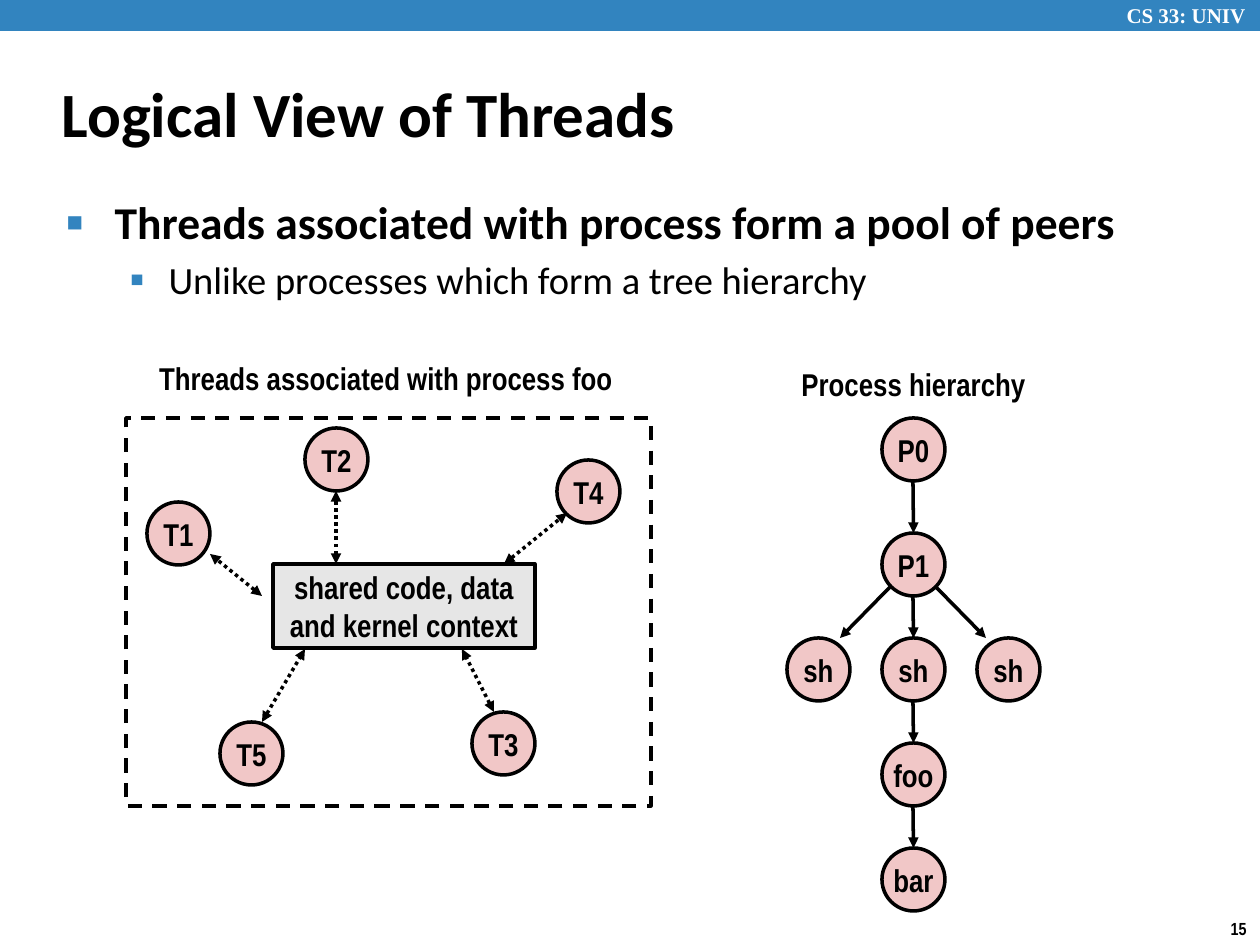
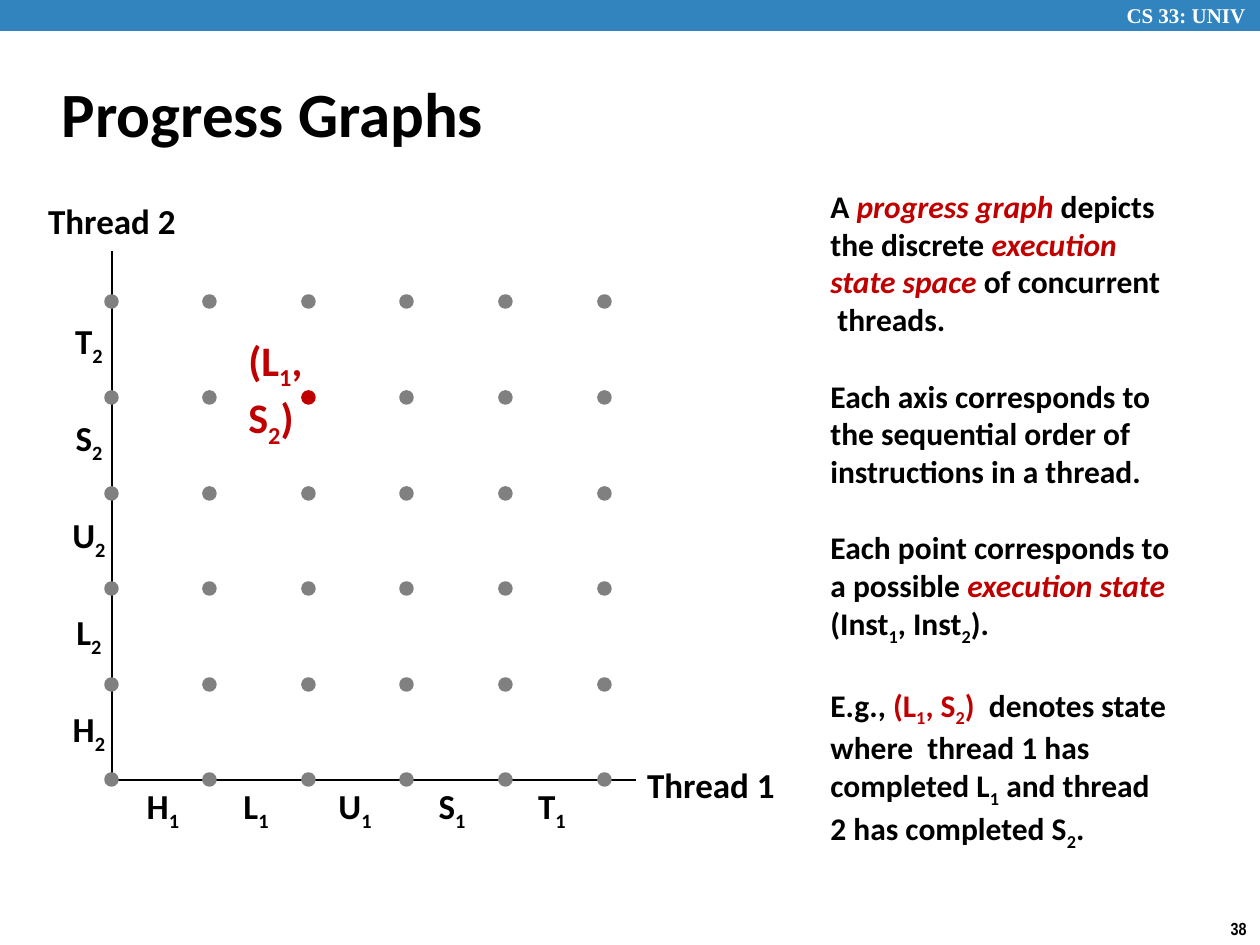
from dataclasses import dataclass
from itertools import groupby

from lxml.etree import SubElement
from pptx import Presentation
from pptx.dml.color import RGBColor
from pptx.enum.dml import MSO_LINE_DASH_STYLE as Dash
from pptx.enum.shapes import MSO_CONNECTOR, MSO_SHAPE
from pptx.enum.text import MSO_ANCHOR as Anchor, MSO_AUTO_SIZE as AutoSize, PP_ALIGN as Align
from pptx.oxml.ns import qn
from pptx.util import Emu, Pt

PX = 914400 / 126
SLIDE_SIZE = (1260, 945)


@dataclass(frozen=True)
class Theme:
    ink: str = "000000"
    paper: str = "FFFFFF"
    band: str = "3284BF"
    node: str = "F1C7C7"
    shared: str = "E6E6E6"
    point: str = "808080"
    accent: str = "C00000"
    text_font: str = "Calibri"
    diagram_font: str = "Arial Narrow"
    band_font: str = "Times New Roman"
    title: int = 36
    bullet: int = 26
    sub_bullet: int = 22
    state: int = 24
    axis: int = 20
    normal: int = 18
    course: int = 12
    page: int = 10


THEME = Theme()
DIAGRAM = {"name": THEME.diagram_font, "size": Pt(THEME.normal), "bold": True}
PROSE = {"name": THEME.text_font, "size": Pt(THEME.normal), "bold": True}
AXIS = {**PROSE, "size": Pt(THEME.axis)}
CENTRED = {"alignment": Align.CENTER}
NODE = 63
# character, left margin, hanging indent, size in percent, type size, bold, space before
BULLETS = [
    ("■", 48, 48, 60, THEME.bullet, True, 5),
    ("▪", 102, 39, 110, THEME.sub_bullet, False, 4),
]


def px(*lengths):
    return [Emu(round(length * PX)) for length in lengths]


def rgb(color):
    return RGBColor.from_string(color)


def set_all(target, values):
    for attribute, value in values.items():
        setattr(target, attribute, value)


def add_marked(paragraph, marked, font, color=THEME.ink):
    """Write runs: *red italic*, ~red~, _ before a subscript, newline for a break."""
    letters, mark, low = [], "", False
    for char in marked:
        if char in "*~":
            mark = "" if mark else char
        elif char == "_":
            low = True
        else:
            letters.append((char, mark, low))
            low = False
    for (mark, low, is_break), part in groupby(letters, lambda x: (x[1], x[2], x[0] == "\n")):
        if is_break:
            paragraph.add_line_break()
            continue
        run = paragraph.add_run()
        run.text = "".join(char for char, *_ in part)
        set_all(run.font, {**font, "italic": mark == "*"})
        run.font.color.rgb = rgb(THEME.accent if mark else color)
        if low:
            run._r.get_or_add_rPr().set("baseline", "-25000")


def add_label(slide, box, marked, font, color=THEME.ink, layout=CENTRED, anchor=Anchor.MIDDLE):
    frame = slide.shapes.add_textbox(*px(*box)).text_frame
    set_all(frame, {"word_wrap": False, "vertical_anchor": anchor})
    set_all(frame.paragraphs[0], layout)
    add_marked(frame.paragraphs[0], marked, font, color)
    return frame


def add_figure(shapes, kind, box, fill=None, line=None, dash=None):
    figure = shapes.add_shape(kind, *px(*box))
    figure.shadow.inherit = False
    if fill:
        figure.fill.solid()
        figure.fill.fore_color.rgb = rgb(fill)
    else:
        figure.fill.background()
    if line:
        set_all(figure.line, {"width": Pt(2), "dash_style": dash})
        figure.line.color.rgb = rgb(line)
    else:
        figure.line.fill.background()
    return figure


def add_node(slide, kind, box, text, fill=THEME.node):
    node = add_figure(slide.shapes, kind, box, fill, THEME.ink)
    set_all(node.text_frame, {"word_wrap": False, "vertical_anchor": Anchor.MIDDLE})
    set_all(node.text_frame.paragraphs[0], CENTRED)
    add_marked(node.text_frame.paragraphs[0], text, DIAGRAM)
    return node


def add_circle(slide, left, top, text):
    return add_node(slide, MSO_SHAPE.OVAL, (left, top, NODE, NODE), text)


def add_line(slide, start, end, width=2, dash=None, arrows=()):
    link = slide.shapes.add_connector(MSO_CONNECTOR.STRAIGHT, *px(*start, *end))
    set_all(link.line, {"width": Pt(width), "dash_style": dash})
    link.line.color.rgb = rgb(THEME.ink)
    properties = link._element.spPr
    for arrow in arrows:
        SubElement(properties.get_or_add_ln(), qn(f"a:{arrow}"), type="triangle")
    SubElement(properties, qn("a:effectLst"))
    return link


def place(placeholder, box, anchor):
    set_all(placeholder, dict(zip(("left", "top", "width", "height"), px(*box))))
    frame = placeholder.text_frame
    set_all(frame, {"word_wrap": True, "auto_size": AutoSize.NONE, "vertical_anchor": anchor})
    return frame


def add_bullets(slide, items):
    frame = place(slide.placeholders[1], (54, 188, 1089, 685), Anchor.TOP)
    for index, (level, text) in enumerate(items):
        char, margin, hang, percent, size, bold, before = BULLETS[level]
        paragraph = frame.add_paragraph() if index else frame.paragraphs[0]
        set_all(paragraph, {"level": level, "space_before": Pt(before), "alignment": Align.LEFT})
        add_marked(paragraph, text, {**PROSE, "size": Pt(size), "bold": bold})
        properties = paragraph._p.get_or_add_pPr()
        left, indent = px(margin, -hang)
        properties.set("marL", str(left))
        properties.set("indent", str(indent))
        color = SubElement(properties, qn("a:buClr"))
        SubElement(color, qn("a:srgbClr"), val=THEME.band)
        SubElement(properties, qn("a:buSzPct"), val=str(percent * 1000))
        SubElement(properties, qn("a:buChar"), char=char)


def add_slide(deck, layout, title, page):
    """Start a slide with the shared band, course name, page number and title."""
    slide = deck.slides.add_slide(deck.slide_layouts[layout])
    add_figure(slide.shapes, MSO_SHAPE.RECTANGLE, (0, 0, SLIDE_SIZE[0], 31), THEME.band)
    add_label(slide, (1112, 0, 148, 31), "CS 33: UNIV",
              {"name": THEME.band_font, "size": Pt(THEME.course), "bold": True}, THEME.paper)
    add_label(slide, (1217, 911, 43, 34), page, {**DIAGRAM, "size": Pt(THEME.page)})
    heading = place(slide.shapes.title, (49, 60, 1046, 105), Anchor.MIDDLE).paragraphs[0]
    heading.alignment = Align.LEFT
    add_marked(heading, title, {**PROSE, "size": Pt(THEME.title)})
    return slide


def draw_thread_pool(slide):
    add_label(slide, (96, 353, 580, 50), "Threads associated with process foo", DIAGRAM)
    add_figure(slide.shapes, MSO_SHAPE.RECTANGLE, (126, 418, 525, 388),
               line=THEME.ink, dash=Dash.DASH)
    add_node(slide, MSO_SHAPE.RECTANGLE, (273, 564, 262, 84),
             "shared code, data\nand kernel context", THEME.shared)
    threads = [
        ("T1", (147, 502), (262, 596), (210, 554)),
        ("T2", (305, 428), (336, 564), (336, 491)),
        ("T3", (472, 712), (494, 712), (462, 649)),
        ("T4", (557, 460), (504, 564), (567, 513)),
        ("T5", (220, 722), (262, 722), (305, 649)),
    ]
    for name, corner, start, end in threads:
        add_circle(slide, *corner, name)
        add_line(slide, start, end, dash=Dash.ROUND_DOT, arrows=("headEnd", "tailEnd"))


def draw_process_tree(slide):
    add_label(slide, (764, 359, 299, 50), "Process hierarchy", DIAGRAM)
    trunk, child_gap, rows = 882, 95, (418, 533, 638, 743, 848)
    middle = trunk + NODE // 2
    for index, (name, top) in enumerate(zip(("P0", "P1", "sh", "foo", "bar"), rows)):
        process = add_circle(slide, trunk, top, name)
        if index:
            parent_bottom = (middle, rows[index - 1] + NODE)
            link = add_line(slide, parent_bottom, (middle, top), arrows=("tailEnd",))
            link.end_connect(process, 0)
    for side in (-1, 1):
        add_circle(slide, trunk + side * child_gap, rows[2], "sh")
        add_line(slide, (middle + side * 22, rows[1] + 53), (middle + side * 73, rows[2]),
                 arrows=("tailEnd",))


def draw_progress_graph(slide):
    origin = (112, 780)
    add_line(slide, origin, (636, 780), width=1)
    add_line(slide, origin, (112, 251), width=1)
    add_label(slide, (634, 757, 154, 55), "Thread 1", AXIS)
    add_label(slide, (35, 193, 154, 55), "Thread 2", AXIS)
    for index, (step, middle) in enumerate(zip("HLUST", (163, 256, 355, 452, 552))):
        add_label(slide, (middle - 30, 781, 60, 55), f"{step}_1", AXIS)
        add_label(slide, (59, 704 - 97 * index, 60, 55), f"{step}_2", AXIS)
    for column in range(6):
        points = slide.shapes.add_group_shape().shapes
        for row in range(6):
            color = THEME.accent if (column, row) == (2, 4) else THEME.point
            corner = (106 + 493 * column // 5, 774 - 478 * row // 5)
            add_figure(points, MSO_SHAPE.OVAL, (*corner, 11, 11), color, color)
    add_label(slide, (236, 328, 133, 63), "(L_1, S_2)", {**PROSE, "size": Pt(THEME.state)},
              THEME.accent, {"alignment": Align.LEFT}, Anchor.TOP)


def add_explanation(slide, first, *others):
    frame = add_label(slide, (818, 189, 367, 661), first, PROSE,
                      layout={"alignment": Align.LEFT})
    for text in others:
        paragraph = frame.add_paragraph()
        set_all(paragraph, {"alignment": Align.LEFT, "space_before": Pt(22)})
        add_marked(paragraph, text, PROSE)


def main():
    deck = Presentation()
    deck.slide_width, deck.slide_height = px(*SLIDE_SIZE)

    threads = add_slide(deck, 1, "Logical View of Threads", "15")
    add_bullets(threads, [
        (0, "Threads associated with process form a pool of peers"),
        (1, "Unlike processes which form a tree hierarchy"),
    ])
    draw_thread_pool(threads)
    draw_process_tree(threads)

    progress = add_slide(deck, 5, "Progress Graphs", "38")
    add_explanation(
        progress,
        "A *progress graph* depicts\nthe discrete *execution\nstate space* of concurrent\n threads.",
        "Each axis corresponds to\nthe sequential order of\ninstructions in a thread.",
        "Each point corresponds to\na possible *execution state*\n(Inst_1, Inst_2).",
        "E.g., ~(L_1, S_2)~  denotes state\nwhere  thread 1 has\n"
        "completed L_1 and thread\n2 has completed S_2.",
    )
    draw_progress_graph(progress)
    deck.save("out.pptx")


if __name__ == "__main__":
    main()
